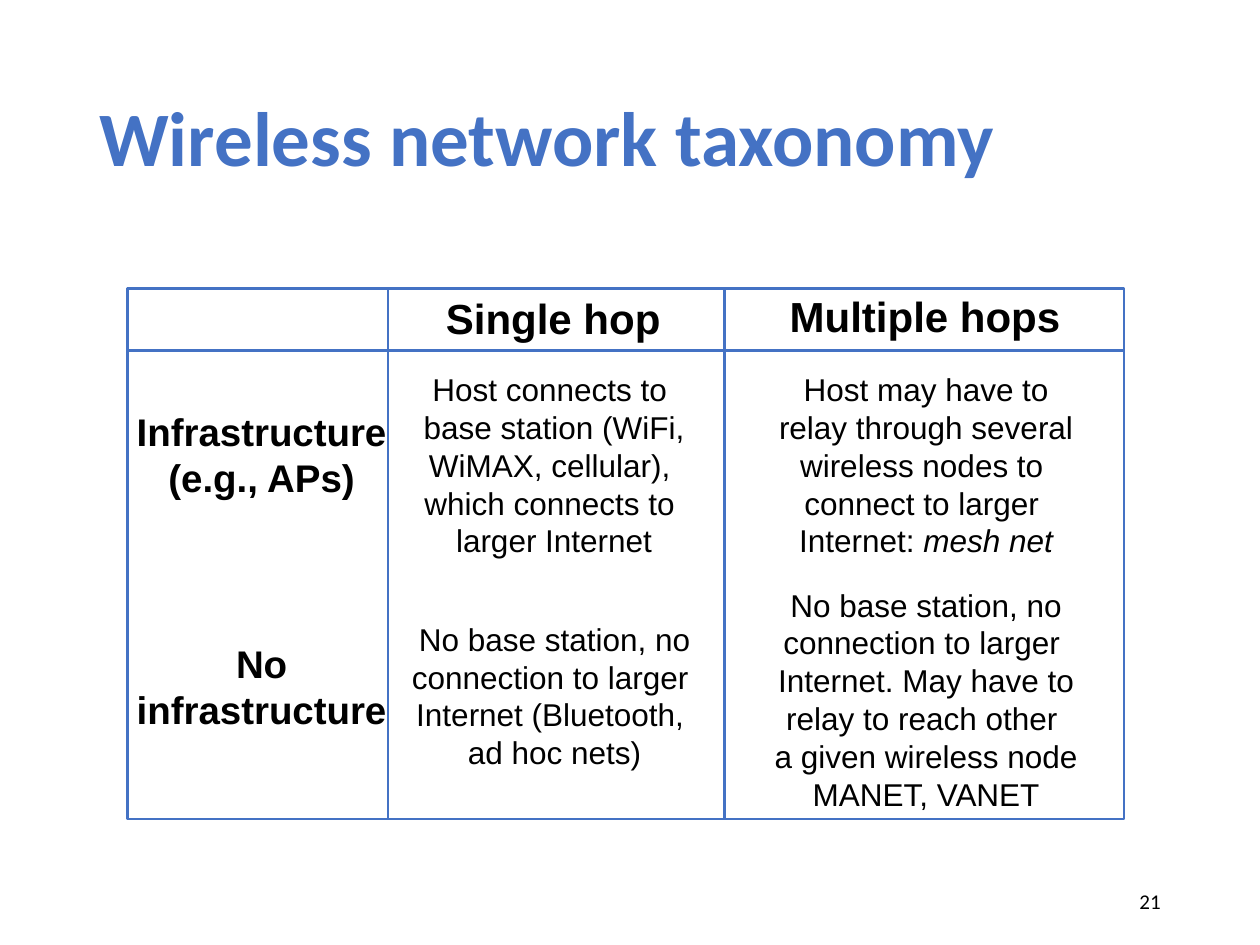
from pptx import Presentation
from pptx.dml.color import RGBColor
from pptx.enum.shapes import MSO_CONNECTOR as CONN, MSO_SHAPE as SHAPE
from pptx.enum.text import MSO_ANCHOR as ANCHOR, MSO_AUTO_SIZE as FIT, PP_ALIGN as ALIGN
from pptx.oxml.xmlchemy import OxmlElement
from pptx.util import Cm, Pt

BLUE = RGBColor(0x44, 0x72, 0xC4)
BLACK = RGBColor(0, 0, 0)


class Deck:
    heading_font = "Calibri"
    body_font = "Arial"
    line_width = Pt(1.5)

    def __init__(self, prs):
        self.slide = prs.slides.add_slide(prs.slide_layouts[6])

    def text(self, box, lines, size, bold=False, color=BLACK, font=body_font,
             align=ALIGN.CENTER, spacing=1.0, wrap=False, anchor=ANCHOR.TOP):
        sp = self.slide.shapes.add_textbox(*map(Cm, box))
        tf = sp.text_frame
        tf.word_wrap = wrap
        tf.auto_size = FIT.NONE if wrap else FIT.SHAPE_TO_FIT_TEXT
        tf.vertical_anchor = anchor
        for i, line in enumerate(lines):
            p = tf.add_paragraph() if i else tf.paragraphs[0]
            p.alignment = align
            p.line_spacing = spacing
            runs = line if isinstance(line, tuple) else (line,)
            for j, words in enumerate(runs):
                r = p.add_run()
                r.text = words
                r.font.name = font
                r.font.size = Pt(size)
                r.font.bold = bold
                r.font.italic = j > 0
                r.font.color.rgb = color

    def heading(self, box, words, size, **style):
        self.text(box, [words], size, font=self.heading_font, wrap=True,
                  anchor=ANCHOR.MIDDLE, **style)

    def frame(self, left, top, right, bottom):
        sp = self.slide.shapes.add_shape(
            SHAPE.RECTANGLE, Cm(left), Cm(top), Cm(right - left), Cm(bottom - top))
        sp.shadow.inherit = False
        sp.fill.background()
        sp.line.color.rgb = BLUE
        sp.line.width = self.line_width

    def rule(self, x1, y1, x2, y2):
        line = self.slide.shapes.add_connector(
            CONN.STRAIGHT, Cm(x1), Cm(y1), Cm(x2), Cm(y2))
        line.line.color.rgb = BLUE
        line.line.width = self.line_width
        line._element.spPr.append(OxmlElement("a:effectLst"))


COLUMN_HEADS = [
    ((8.74, 5.77, 4.88, 1.27), ["Single hop"]),
    ((15.67, 5.74, 6.02, 1.27), ["Multiple hops"]),
]
ROW_HEADS = [
    ((2.47, 8.1, 5.61, 2.13), ["Infrastructure", "(e.g., APs)"]),
    ((2.47, 12.78, 5.61, 2.13), ["No", "infrastructure"]),
]
CELLS = [
    ((8.26, 7.34, 5.82, 4.11),
     ["Host connects to ", "base station (WiFi,", "WiMAX, cellular), ",
      "which connects to ", "larger Internet"]),
    ((8.02, 12.37, 6.32, 3.33),
     ["No base station, no", "connection to larger ", "Internet (Bluetooth, ",
      "ad hoc nets)"]),
    ((15.42, 7.34, 6.5, 4.11),
     ["Host may have to", "relay through several", "wireless nodes to ",
      "connect to larger ", ("Internet: ", "mesh net")]),
    ((15.33, 11.68, 6.68, 4.88),
     ["No base station, no", "connection to larger ", "Internet. May have to",
      "relay to reach other ", "a given wireless node", "MANET, VANET"]),
]


def main():
    prs = Presentation()
    prs.slide_width, prs.slide_height = Cm(25.4), Cm(19.05)
    deck = Deck(prs)

    deck.heading((1.75, 1.02, 21.9, 3.68), "Wireless network taxonomy", 44,
                 bold=True, color=BLUE, align=ALIGN.LEFT, spacing=0.9)
    for box, lines in COLUMN_HEADS:
        deck.text(box, lines, 24, bold=True, align=ALIGN.LEFT)
    for box, lines in ROW_HEADS:
        deck.text(box, lines, 22, bold=True)
    for box, lines in CELLS:
        deck.text(box, lines, 18)

    left, top, right, bottom = 2.57, 5.82, 22.66, 16.51
    deck.frame(left, top, right, bottom)
    deck.rule(left, 7.06, right, 7.06)
    for x in (7.82, 14.6):
        deck.rule(x, top, x, bottom)

    deck.heading((17.93, 17.65, 5.72, 1.02), "21", 12, align=ALIGN.RIGHT)
    prs.save("out.pptx")


if __name__ == "__main__":
    main()
